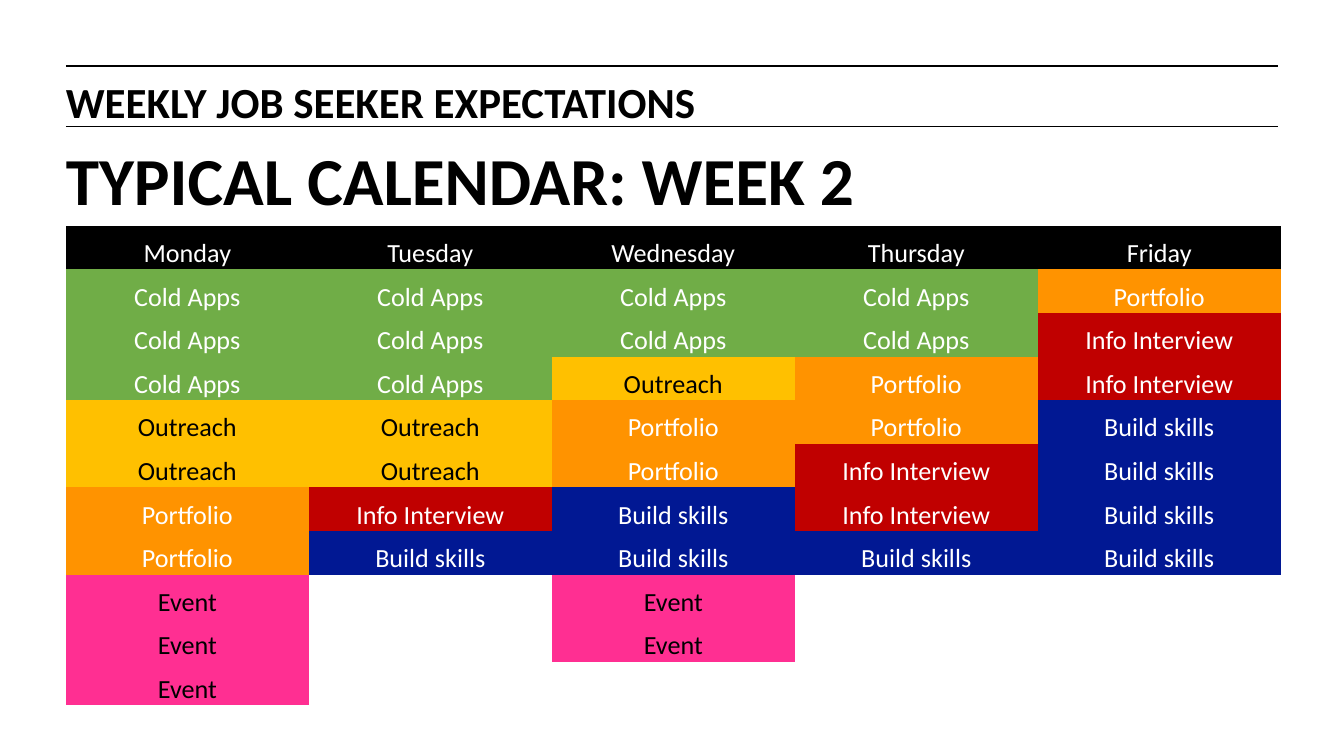
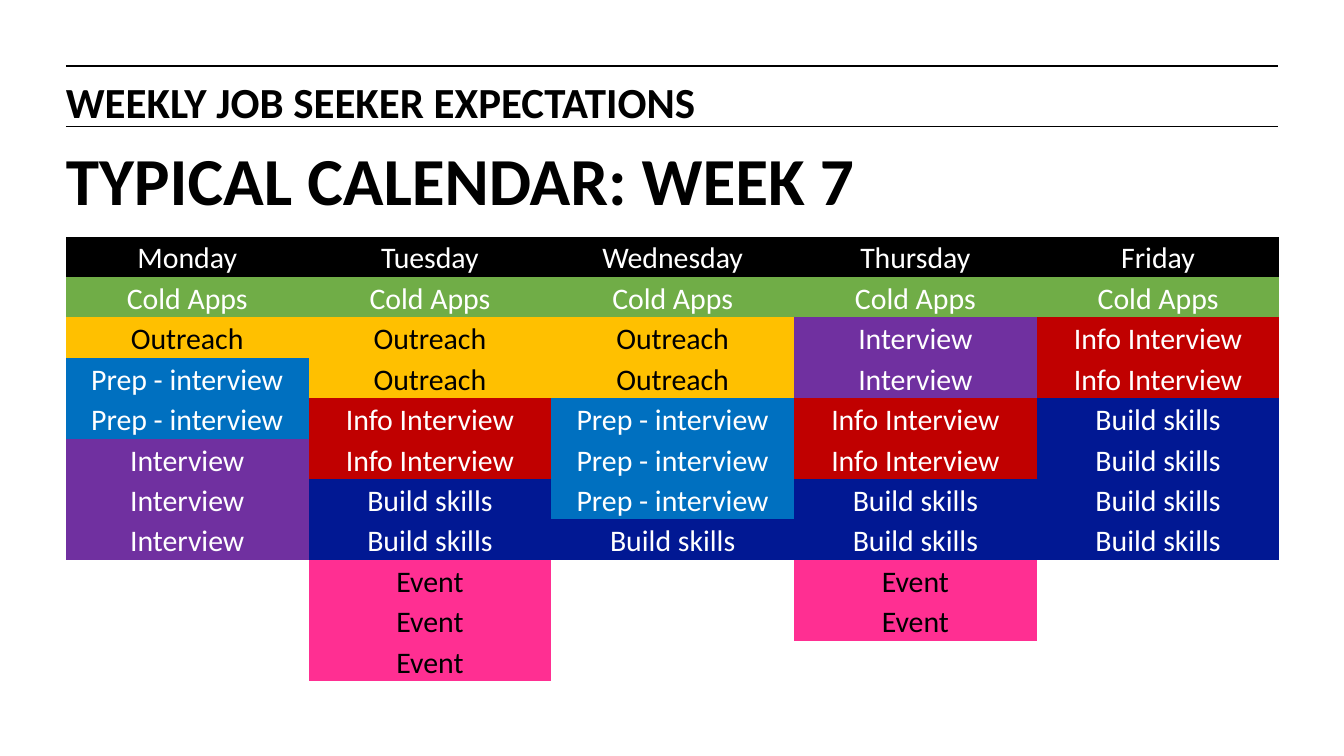
import lxml.etree
import pptx
import pptx.dml.color
import pptx.enum.shapes
import pptx.enum.text
import pptx.oxml.ns
import pptx.util

Inches = pptx.util.Inches
qn = pptx.oxml.ns.qn

# Content: each day is a run of (activity, number of rows)
HEADING = "WEEKLY JOB SEEKER EXPECTATIONS"
ROWS = 11
WEEKS = [
    {
        "title": "TYPICAL CALENDAR: WEEK 2", "title_height": 0.65,
        "top": 1.68, "width": 9.04, "height": 3.57, "size": 14, "inset": 0.01,
        "days": {
            "Monday": [("Cold Apps", 3), ("Outreach", 2), ("Portfolio", 2), ("Event", 3)],
            "Tuesday": [("Cold Apps", 3), ("Outreach", 2), ("Info Interview", 1),
                        ("Build skills", 1)],
            "Wednesday": [("Cold Apps", 2), ("Outreach", 1), ("Portfolio", 2),
                          ("Build skills", 2), ("Event", 2)],
            "Thursday": [("Cold Apps", 2), ("Portfolio", 2), ("Info Interview", 2),
                         ("Build skills", 1)],
            "Friday": [("Portfolio", 1), ("Info Interview", 2), ("Build skills", 4)],
        },
    },
    {
        "title": "TYPICAL CALENDAR: WEEK 7", "title_height": 0.69,
        "top": 1.76, "width": 9.03, "height": 3.31, "size": 16, "inset": 0.02,
        "days": {
            "Monday": [("Cold Apps", 1), ("Outreach", 1), ("Prep - interview", 2),
                       ("Interview", 3)],
            "Tuesday": [("Cold Apps", 1), ("Outreach", 2), ("Info Interview", 2),
                        ("Build skills", 2), ("Event", 3)],
            "Wednesday": [("Cold Apps", 1), ("Outreach", 2), ("Prep - interview", 3),
                          ("Build skills", 1)],
            "Thursday": [("Cold Apps", 1), ("Interview", 2), ("Info Interview", 2),
                         ("Build skills", 2), ("Event", 2)],
            "Friday": [("Cold Apps", 1), ("Info Interview", 2), ("Build skills", 4)],
        },
    },
]

# Shared style
FONT = "Calibri"
LEFT, RIGHT = 0.49, 9.51
RULES = (0.49, 0.94)
COLORS = {
    "black": "000000",
    "white": "FFFFFF",
    "Cold Apps": "70AD47",
    "Outreach": "FFC000",
    "Portfolio": "FF9300",
    "Info Interview": "C00000",
    "Build skills": "011893",
    "Prep - interview": "0070C0",
    "Interview": "7030A0",
    "Event": "FF2F92",
}
DARK_TEXT = {"Outreach", "Event"}
NO_GRID_STYLE = "{2D5ABB26-0587-4C30-8999-92F81FD0307C}"


def rgb(name):
    return pptx.dml.color.RGBColor.from_string(COLORS[name])


def write(tf, text, size, color="black", bold=False, align="LEFT"):
    p = tf.paragraphs[0]
    p.alignment = getattr(pptx.enum.text.PP_ALIGN, align)
    r = p.add_run()
    r.text = text
    r.font.name = FONT
    r.font.size = pptx.util.Pt(size)
    r.font.bold = bold
    r.font.color.rgb = rgb(color)


def add_text(s, text, top, width, height, size):
    sp = s.shapes.add_textbox(Inches(LEFT), Inches(top), Inches(width), Inches(height))
    tf = sp.text_frame
    tf.word_wrap = True
    tf.margin_left = tf.margin_right = tf.margin_top = tf.margin_bottom = 0
    write(tf, text, size, bold=True)


def add_rule(s, y):
    line = s.shapes.add_connector(pptx.enum.shapes.MSO_CONNECTOR.STRAIGHT,
                                  Inches(LEFT), Inches(y), Inches(RIGHT), Inches(y))
    line.line.color.rgb = rgb("black")
    line.line.width = pptx.util.Pt(0.75)
    lxml.etree.SubElement(line._element.spPr, qn("a:effectLst"))


def fill_cell(cell, text, fill, color, size, inset):
    cell.fill.solid()
    cell.fill.fore_color.rgb = rgb(fill)
    cell.vertical_anchor = pptx.enum.text.MSO_ANCHOR.BOTTOM
    cell.margin_left = cell.margin_right = cell.margin_top = Inches(inset)
    cell.margin_bottom = 0
    if text:
        write(cell.text_frame, text, size, color, align="CENTER")
    else:
        # Keep empty rows from growing to the default text size
        end = lxml.etree.SubElement(cell.text_frame.paragraphs[0]._p, qn("a:endParaRPr"))
        end.set("sz", str(size * 100))


def add_calendar(s, week):
    days = week["days"]
    frame = s.shapes.add_table(ROWS, len(days), Inches(LEFT), Inches(week["top"]),
                               Inches(week["width"]), Inches(week["height"]))
    table = frame.table
    table.first_row = table.horz_banding = False
    table._tbl.tblPr.find(qn("a:tableStyleId")).text = NO_GRID_STYLE
    for row in table.rows:
        row.height = Inches(week["height"] / ROWS)
    for col, (day, blocks) in enumerate(days.items()):
        entries = [(day, "black", "white")]
        for activity, count in blocks:
            color = "black" if activity in DARK_TEXT else "white"
            entries += [(activity, activity, color)] * count
        entries += [("", "white", "black")] * (ROWS - len(entries))
        for row, entry in enumerate(entries):
            fill_cell(table.cell(row, col), *entry, week["size"], week["inset"])


def main():
    prs = pptx.Presentation()
    # Widescreen, 16:9
    prs.slide_width, prs.slide_height = Inches(10), Inches(10 * 9 / 16)
    for week in WEEKS:
        s = prs.slides.add_slide(prs.slide_layouts[6])
        for y in RULES:
            add_rule(s, y)
        add_text(s, HEADING, 0.56, 5.94, 0.33, 23)
        add_text(s, week["title"], 1.03, 9.11, week["title_height"], 36)
        add_calendar(s, week)
    prs.save("out.pptx")


if __name__ == "__main__":
    main()
